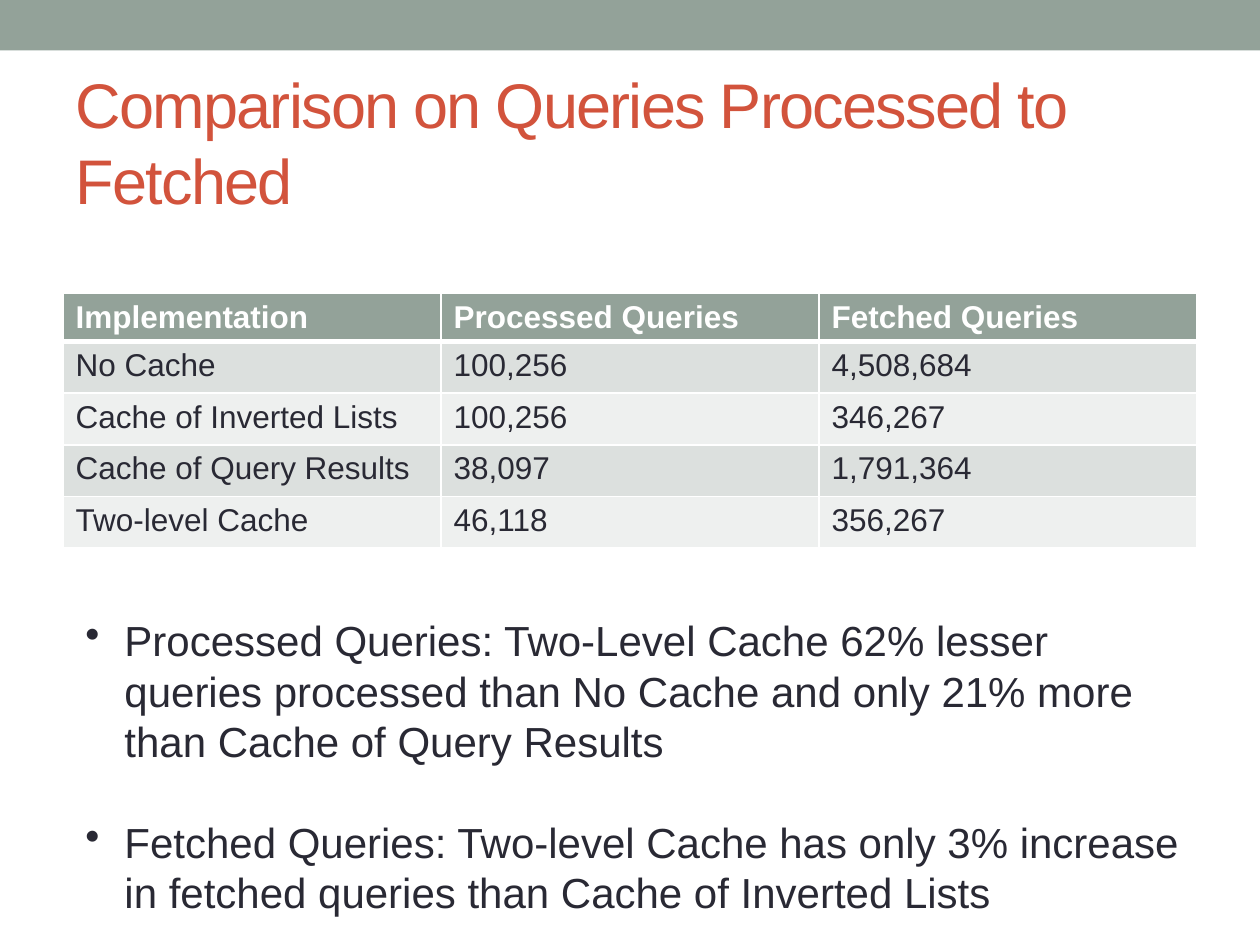
from dataclasses import dataclass

from lxml import etree
from pptx import Presentation
from pptx.dml.color import RGBColor
from pptx.enum import shapes, text
from pptx.oxml import ns
from pptx.util import Inches, Pt


@dataclass(frozen=True)
class Theme:
    font: str = "Arial"
    title_size: int = 36
    table_size: int = 18
    body_size: int = 24
    sage: str = "93A299"
    rust: str = "D2533C"
    ink: str = "292934"
    white: str = "FFFFFF"
    bands: tuple = ("DCE0DE", "EEF0EF")


THEME = Theme()
WIDTH, HEIGHT = Inches(10), Inches(7.5)
MARGIN = Inches(0.5)
CONTENT_WIDTH = WIDTH - 2 * MARGIN

RESULTS = [
    ("Implementation", "Processed Queries", "Fetched Queries"),
    ("No Cache", "100,256", "4,508,684"),
    ("Cache of Inverted Lists", "100,256", "346,267"),
    ("Cache of Query Results", "38,097", "1,791,364"),
    ("Two-level Cache", "46,118", "356,267"),
]
FINDINGS = [
    "Processed Queries: Two-Level Cache 62% lesser queries processed than "
    "No Cache and only 21% more than Cache of Query Results",
    "Fetched Queries: Two-level Cache has only 3% increase in fetched queries "
    "than Cache of Inverted Lists",
]


def style(paragraph, size, color, bold=False):
    font = paragraph.font
    font.name, font.size, font.bold = THEME.font, Pt(size), bold
    font.color.rgb = RGBColor.from_string(color)


def fill_solid(target, color):
    target.fill.solid()
    target.fill.fore_color.rgb = RGBColor.from_string(color)


def add_top_band(slide, left, top, width, height):
    band = slide.shapes.add_shape(
        shapes.MSO_SHAPE.RECTANGLE, left, top, width, height)
    band.shadow.inherit = False
    fill_solid(band, THEME.sage)
    band.line.fill.background()


def place_title(slide, wording, left, top, width, height):
    title = slide.shapes.title
    title.left, title.top, title.width, title.height = left, top, width, height
    frame = title.text_frame
    frame.text = wording
    frame.word_wrap = True
    frame.auto_size = text.MSO_AUTO_SIZE.NONE
    frame.vertical_anchor = text.MSO_ANCHOR.MIDDLE
    heading = frame.paragraphs[0]
    heading.alignment = text.PP_ALIGN.LEFT
    style(heading, THEME.title_size, THEME.rust)
    # Tighten the letters by one point
    heading.runs[0].font._element.set("spc", "-100")


def border_cell(cell, bottom_width):
    properties = cell._tc.get_or_add_tcPr()
    widths = {"lnL": 1, "lnR": 1, "lnT": 1, "lnB": bottom_width}
    for position, (side, points) in enumerate(widths.items()):
        line = etree.Element(ns.qn(f"a:{side}"), w=str(Pt(points)))
        solid = etree.SubElement(line, ns.qn("a:solidFill"))
        etree.SubElement(solid, ns.qn("a:srgbClr"), val=THEME.white)
        properties.insert(position, line)


def add_results_table(slide, results, left, top, width, header_height, row_height):
    rows, columns = len(results), len(results[0])
    height = header_height + (rows - 1) * row_height
    table = slide.shapes.add_table(rows, columns, left, top, width, height).table
    for r, values in enumerate(results):
        header = r == 0
        table.rows[r].height = header_height if header else row_height
        for c, value in enumerate(values):
            cell = table.cell(r, c)
            cell.text = value
            style(cell.text_frame.paragraphs[0], THEME.table_size,
                  THEME.white if header else THEME.ink, bold=header)
            fill_solid(cell, THEME.sage if header else THEME.bands[(r - 1) % 2])
            border_cell(cell, bottom_width=3 if header else 1)


def add_findings(slide, findings, left, top, width, height):
    frame = slide.shapes.add_textbox(left, top, width, height).text_frame
    frame.word_wrap = True
    frame.auto_size = text.MSO_AUTO_SIZE.SHAPE_TO_FIT_TEXT
    indent = Inches(0.31)
    for i, finding in enumerate(findings):
        item = frame.add_paragraph() if i else frame.paragraphs[0]
        item.text = finding
        style(item, THEME.body_size, THEME.ink)
        if i:
            item.space_before = Pt(THEME.body_size * 1.2)  # one line of air
        properties = item._p.get_or_add_pPr()
        properties.set("marL", str(indent))
        properties.set("indent", str(-indent))
        bullet = etree.Element(ns.qn("a:buChar"), char="•")
        properties.find(ns.qn("a:defRPr")).addprevious(bullet)


def main():
    deck = Presentation()
    deck.slide_width, deck.slide_height = WIDTH, HEIGHT
    slide = deck.slides.add_slide(deck.slide_layouts.get_by_name("Title Only"))

    add_top_band(slide, 0, 0, WIDTH, Inches(0.4))
    place_title(slide, "Comparison on Queries Processed to Fetched",
                MARGIN, Inches(0.58), CONTENT_WIDTH, Inches(1.08))
    add_results_table(slide, RESULTS, MARGIN, Inches(2.33), CONTENT_WIDTH,
                      header_height=Inches(0.37), row_height=Inches(0.41))
    add_findings(slide, FINDINGS,
                 Inches(0.58), Inches(4.83), CONTENT_WIDTH, Inches(2.52))

    deck.save("out.pptx")


if __name__ == "__main__":
    main()
